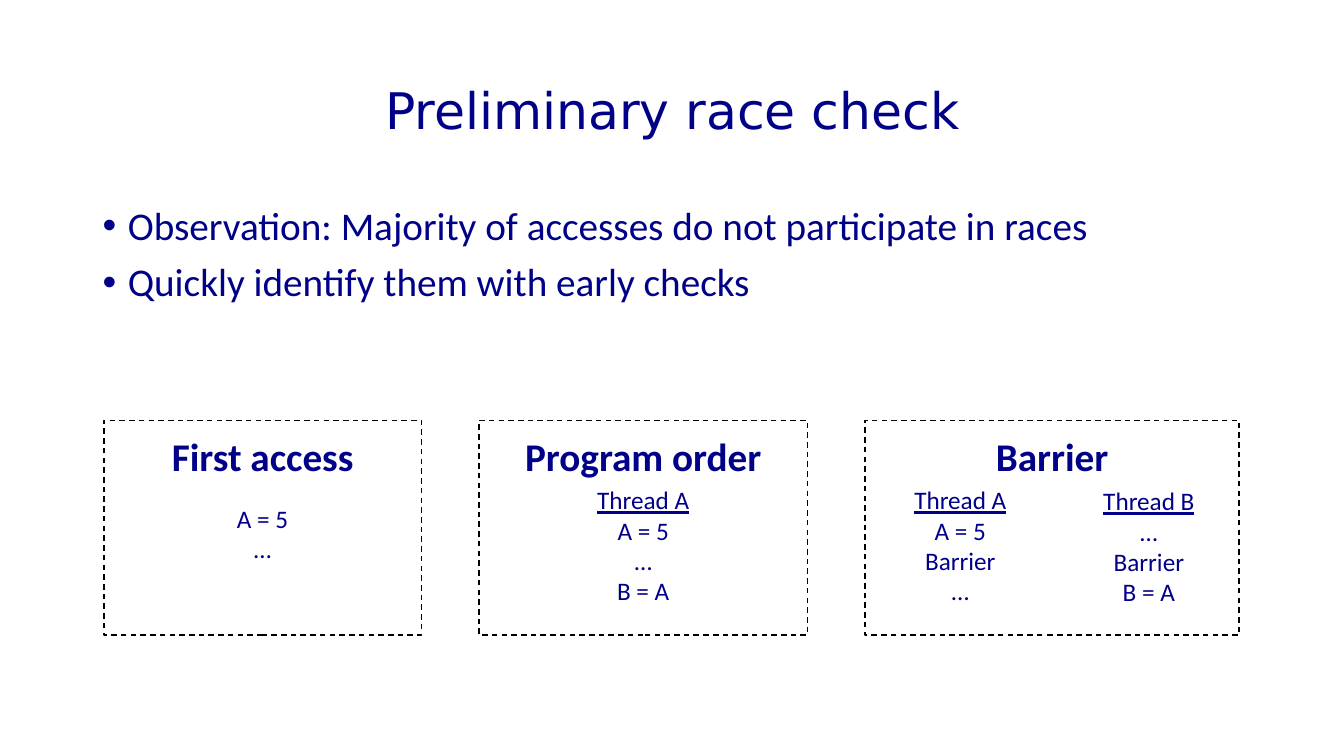
"""Build the slide on the preliminary race check."""
from lxml.etree import SubElement
from pptx import Presentation
from pptx.dml.color import RGBColor
from pptx.enum.dml import MSO_LINE
from pptx.enum.shapes import MSO_SHAPE
from pptx.enum.text import MSO_ANCHOR, MSO_AUTO_SIZE, PP_ALIGN
from pptx.oxml.ns import qn
from pptx.util import Inches, Pt

TITLE = "Preliminary race check"
BULLETS = [
    "Observation: Majority of accesses do not participate in races",
    "Quickly identify them with early checks",
]
CHECKS = [
    {"heading": "First access", "width": 3.15,
     "snippets": [{"offset": 0, "top": 4.94, "lines": ["A = 5", "…"]}]},
    {"heading": "Program order", "width": 3.26,
     "snippets": [{"offset": 0, "top": 4.76, "thread": "Thread A",
                   "lines": ["A = 5", "…", "B = A"]}]},
    {"heading": "Barrier", "width": 3.71,
     "snippets": [{"offset": -0.91, "top": 4.76, "thread": "Thread A",
                   "lines": ["A = 5", "Barrier", "…"]},
                  {"offset": 0.96, "top": 4.77, "thread": "Thread B",
                   "lines": ["…", "Barrier", "B = A"]}]},
]
THEME = {
    "text": RGBColor(0x00, 0x00, 0x88),
    "border": RGBColor(0x00, 0x00, 0x00),
    "title": {"name": "DejaVu Sans", "size": Pt(36)},
    "bullet": {"name": "Calibri", "size": Pt(28)},
    "heading": {"name": "Calibri", "size": Pt(28), "bold": True},
    "thread": {"name": "Calibri", "size": Pt(18), "underline": True},
    "code": {"name": "Calibri", "size": Pt(18)},
}
CONTENT_LEFT, CONTENT_WIDTH = 0.92, 11.5
BOX_LEFT, BOX_TOP, BOX_HEIGHT, BOX_GAP = 1.03, 4.17, 2.13, 0.57
SNIPPET_WIDTH, SNIPPET_LINE, SNIPPET_PADDING = 1.13, 0.3, 0.1


def set_attributes(target, values):
    for name, value in values.items():
        setattr(target, name, value)


def write_text(frame, rows, **layout):
    for index, (text, style) in enumerate(rows):
        paragraph = frame.paragraphs[0] if index == 0 else frame.add_paragraph()
        set_attributes(paragraph, layout)
        run = paragraph.add_run()
        run.text = text
        set_attributes(run.font, THEME[style])
        run.font.color.rgb = THEME["text"]


def add_text(slide, left, top, width, height, rows, frame_format, **layout):
    text_box = slide.shapes.add_textbox(*map(Inches, (left, top, width, height)))
    set_attributes(text_box.text_frame, frame_format)
    write_text(text_box.text_frame, rows, **layout)
    return text_box.text_frame


def add_bullets(frame):
    for paragraph in frame.paragraphs:
        properties = paragraph._p.get_or_add_pPr()
        properties.set("marL", str(Inches(0.25)))
        properties.set("indent", str(-Inches(0.25)))
        SubElement(properties, qn("a:buFont")).set("typeface", "Arial")
        SubElement(properties, qn("a:buChar")).set("char", "•")


def add_check(slide, left, check):
    box = slide.shapes.add_shape(
        MSO_SHAPE.RECTANGLE, *map(Inches, (left, BOX_TOP, check["width"], BOX_HEIGHT)))
    box.shadow.inherit = False
    box.fill.background()
    box.line.color.rgb = THEME["border"]
    set_attributes(box.line, {"width": Pt(1), "dash_style": MSO_LINE.DASH})
    set_attributes(box.text_frame, {"word_wrap": True, "vertical_anchor": MSO_ANCHOR.TOP})
    write_text(box.text_frame, [(check["heading"], "heading")],
               alignment=PP_ALIGN.CENTER, line_spacing=1.14)
    for snippet in check["snippets"]:
        rows = [(snippet["thread"], "thread")] if "thread" in snippet else []
        rows += [(line, "code") for line in snippet["lines"]]
        center = left + check["width"] / 2 + snippet["offset"]
        add_text(slide, center - SNIPPET_WIDTH / 2, snippet["top"], SNIPPET_WIDTH,
                 SNIPPET_PADDING + SNIPPET_LINE * len(rows), rows,
                 {"word_wrap": False, "auto_size": MSO_AUTO_SIZE.SHAPE_TO_FIT_TEXT},
                 alignment=PP_ALIGN.CENTER)


def main():
    presentation = Presentation()
    set_attributes(presentation, {"slide_width": Inches(13.33), "slide_height": Inches(7.5)})
    slide = presentation.slides.add_slide(presentation.slide_layouts[6])
    add_text(slide, CONTENT_LEFT, 0.4, CONTENT_WIDTH, 1.45, [(TITLE, "title")],
             {"word_wrap": True, "vertical_anchor": MSO_ANCHOR.MIDDLE},
             alignment=PP_ALIGN.CENTER, line_spacing=0.9)
    add_bullets(add_text(slide, CONTENT_LEFT, 2, CONTENT_WIDTH, 4.76,
                         [(text, "bullet") for text in BULLETS], {"word_wrap": True},
                         line_spacing=0.9, space_before=Pt(10)))
    left = BOX_LEFT
    for check in CHECKS:
        add_check(slide, left, check)
        left += check["width"] + BOX_GAP
    presentation.save("out.pptx")


if __name__ == "__main__":
    main()
